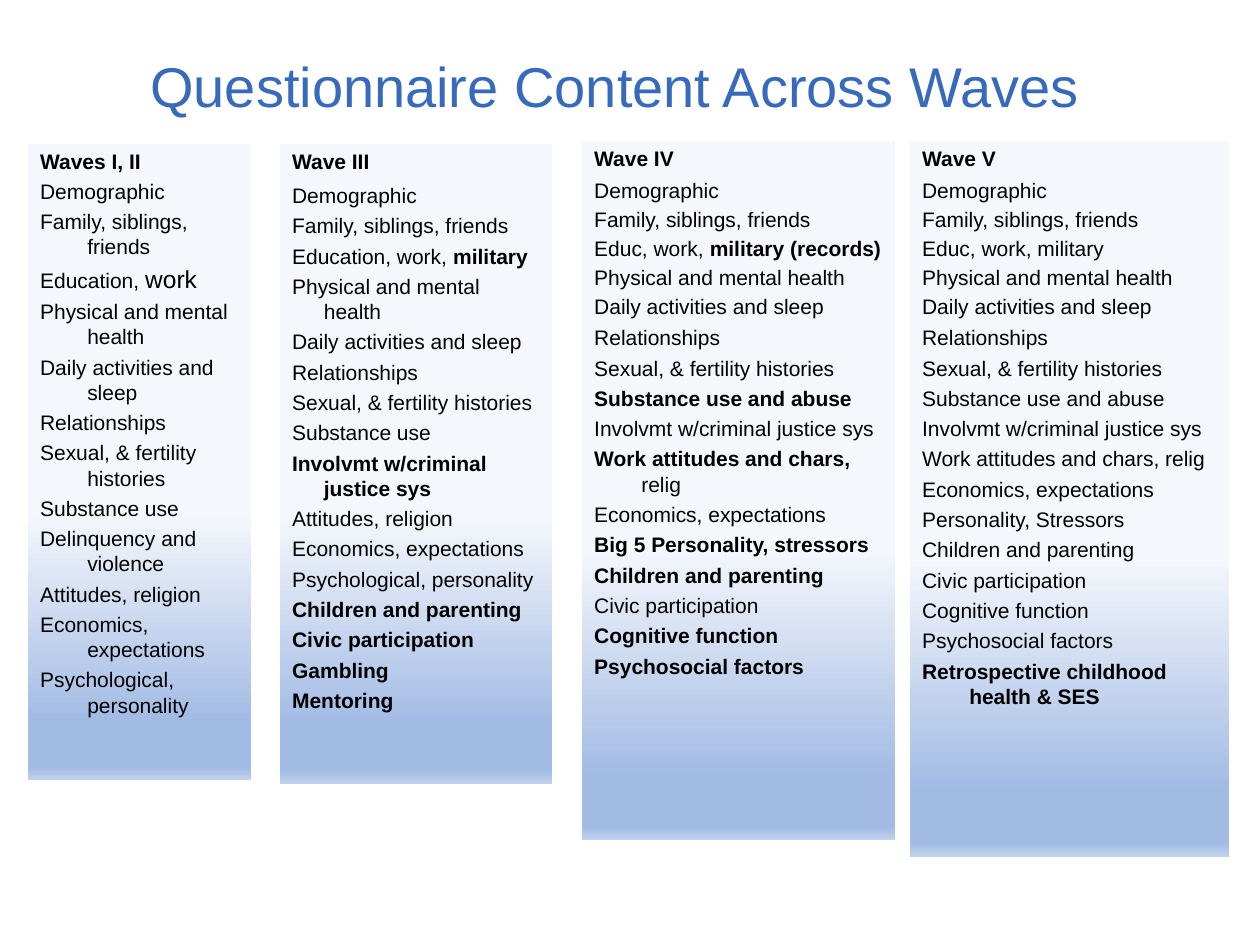
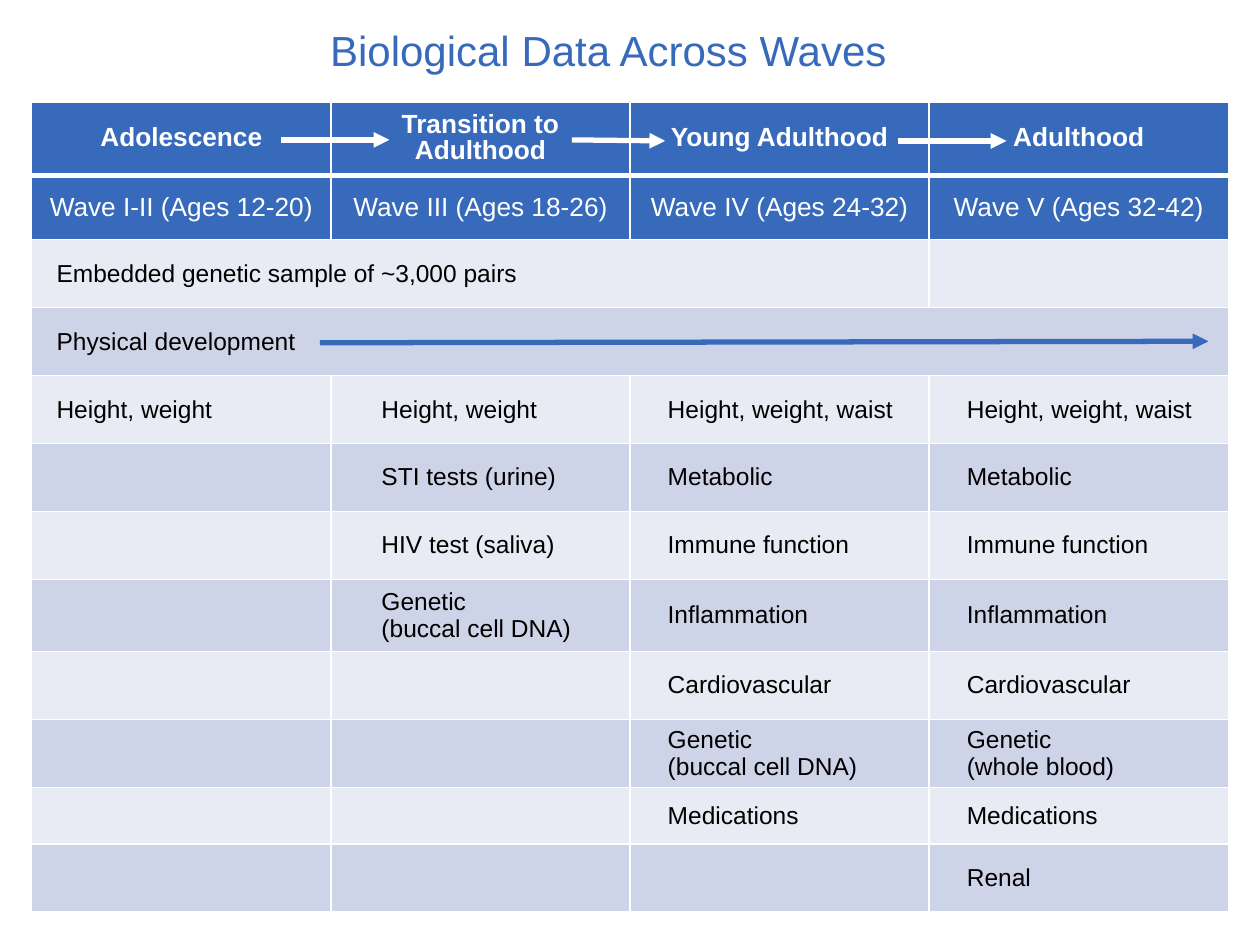
from collections import namedtuple

from lxml import etree
from pptx import Presentation
from pptx import util as u
from pptx.dml.color import RGBColor
from pptx.enum import shapes, text
from pptx.oxml.ns import qn

Cm, Pt = u.Cm, u.Pt
FONT = "Arial"
COLORS = {"blue": "376ABB", "black": "000000", "white": "FFFFFF",
          "light": "E8EBF3", "mid": "CED4E7"}
PANEL_STOPS = [(58, "F5F7FC"), (91, "A2BBE4"), (98, "A2BBE4"), (100, "C1D2ED")]

Run = namedtuple("Run", "text bold size", defaults=(False, 12))
Panel = namedtuple("Panel", "left top width height indent head_after tight items")


def bold(words):
    return Run(words, True)


# Topics by wave; the first `tight` topics have closer line spacing
PANELS = [
    Panel(0.56, 2.9, 4.5, 12.83, 0.95, 0, 0, [
        bold("Waves I, II"), "Demographic", "Family, siblings, friends",
        ["Education, ", Run("work", size=14)], "Physical and mental health",
        "Daily activities and sleep", "Relationships",
        "Sexual, & fertility histories", "Substance use",
        "Delinquency and violence", "Attitudes, religion",
        "Economics, expectations", "Psychological, personality"]),
    Panel(5.64, 2.9, 5.49, 12.9, 0.64, 2.4, 0, [
        bold("Wave III"), "Demographic", "Family, siblings, friends",
        ["Education, work, ", bold("military")], "Physical and mental health",
        "Daily activities and sleep", "Relationships",
        "Sexual, & fertility histories", "Substance use",
        bold("Involvmt w/criminal justice sys"), "Attitudes, religion",
        "Economics, expectations", "Psychological, personality",
        bold("Children and parenting"), bold("Civic participation"),
        bold("Gambling"), bold("Mentoring")]),
    Panel(11.73, 2.84, 6.32, 14.1, 0.95, 2.4, 5, [
        bold("Wave IV"), "Demographic", "Family, siblings, friends",
        ["Educ, work, ", bold("military (records)")],
        "Physical and mental health", "Daily activities and sleep",
        "Relationships", "Sexual, & fertility histories",
        bold("Substance use and abuse"), "Involvmt w/criminal justice sys",
        [bold("Work attitudes and chars, "), "relig"],
        "Economics, expectations", bold("Big 5 Personality, stressors"),
        bold("Children and parenting"), "Civic participation",
        bold("Cognitive function"), bold("Psychosocial factors")]),
    Panel(18.34, 2.84, 6.43, 14.43, 0.95, 2.4, 5, [
        bold("Wave V"), "Demographic", "Family, siblings, friends",
        "Educ, work, military", "Physical and mental health",
        "Daily activities and sleep", "Relationships",
        "Sexual, & fertility histories", "Substance use and abuse",
        "Involvmt w/criminal justice sys", "Work attitudes and chars, relig",
        "Economics, expectations", "Personality, Stressors",
        "Children and parenting", "Civic participation",
        "Cognitive function", "Psychosocial factors",
        bold("Retrospective childhood health & SES")]),
]

# Biological measures: two header rows, then body rows
MEASURES = [
    ["Adolescence", "Transition to Adulthood", "Young Adulthood", "Adulthood"],
    ["Wave I-II (Ages 12-20)", "Wave III (Ages 18-26)",
     "Wave IV (Ages 24-32)", "Wave V (Ages 32-42)"],
    ["Embedded genetic sample of ~3,000 pairs", "", "", ""],
    ["Physical development", "", "", ""],
    ["Height, weight", "Height, weight",
     "Height, weight, waist", "Height, weight, waist"],
    ["", "STI tests (urine)", "Metabolic", "Metabolic"],
    ["", "HIV test (saliva)", "Immune function", "Immune function"],
    ["", "Genetic\n(buccal cell DNA)", "Inflammation", "Inflammation"],
    ["", "", "Cardiovascular", "Cardiovascular"],
    ["", "", "Genetic\n(buccal cell DNA)", "Genetic\n(whole blood)"],
    ["", "", "Medications", "Medications"],
    ["", "", "", "Renal"],
]
ROW_HEIGHTS = [1.48, 1.29] + [1.37] * 5 + [1.45, 1.37, 1.37, 1.14, 1.37]
COLUMN_WIDTH = 6.03
BODY_INSETS = [0.5, 1.02, 0.76, 0.76]
LAST_MERGED_COLUMN = {2: 2, 3: 3}


def add_run(p, words, size, color, is_bold=False):
    r = p.add_run()
    r.text = words
    r.font.name, r.font.size, r.font.bold = FONT, Pt(size), is_bold
    r.font.color.rgb = RGBColor.from_string(COLORS[color])


def add_color(parent, color):
    fill = etree.SubElement(parent, qn("a:solidFill"))
    etree.SubElement(fill, qn("a:srgbClr"), val=color)


def add_title_slide(prs, title, box, size, align, wrap=True):
    slide = prs.slides.add_slide(prs.slide_layouts[5])
    sp = slide.shapes.title
    sp.left, sp.top, sp.width, sp.height = map(Cm, box)
    tf = sp.text_frame
    tf.auto_size = text.MSO_AUTO_SIZE.NONE
    tf.word_wrap = wrap
    tf.vertical_anchor = text.MSO_ANCHOR.MIDDLE
    p = tf.paragraphs[0]
    p.alignment = align
    add_run(p, title, size, "blue")
    return slide


def fill_gradient(sp):
    sp.fill.gradient()
    sp.fill.gradient_angle = 270
    stops = sp._element.spPr.find(".//" + qn("a:gsLst"))
    for old in list(stops):
        stops.remove(old)
    for percent, color in PANEL_STOPS:
        stop = etree.SubElement(stops, qn("a:gs"), pos=str(percent * 1000))
        etree.SubElement(stop, qn("a:srgbClr"), val=color)


def add_panel(slide, panel):
    box = map(Cm, (panel.left, panel.top, panel.width, panel.height))
    sp = slide.shapes.add_shape(shapes.MSO_SHAPE.RECTANGLE, *box)
    sp.shadow.inherit = False
    sp.line.fill.background()
    fill_gradient(sp)
    tf = sp.text_frame
    tf.word_wrap = True
    tf.vertical_anchor = text.MSO_ANCHOR.TOP
    for i, item in enumerate(panel.items):
        p = tf.add_paragraph() if i else tf.paragraphs[0]
        p.alignment = text.PP_ALIGN.LEFT
        p.line_spacing = 0.95 if i <= panel.tight else 1.0
        p.space_before = Pt(2.4 if i else 0)
        p.space_after = Pt(0.5 if i else panel.head_after)
        # Hanging indent for wrapped topics
        pPr = p._p.get_or_add_pPr()
        pPr.set("marL", str(Cm(panel.indent)))
        pPr.set("indent", str(-Cm(panel.indent)))
        for part in item if type(item) is list else [item]:
            run = Run(part) if isinstance(part, str) else part
            add_run(p, run.text, run.size, "black", run.bold)


def set_borders(cell, top, bottom):
    tcPr = cell._tc.get_or_add_tcPr()
    for i, (side, width) in enumerate(zip("LRTB", (1, 1, top, bottom))):
        ln = etree.Element(qn("a:ln" + side), w=str(Pt(width)))
        add_color(ln, COLORS["white"])
        tcPr.insert(i, ln)


def format_cell(cell, words, row, col):
    header = row < 2
    color = "blue" if header else ("mid" if row % 2 else "light")
    cell.fill.solid()
    cell.fill.fore_color.rgb = RGBColor.from_string(COLORS[color])
    set_borders(cell, 3 if row == 1 else 1, 3 if row == 0 else 1)
    cell.vertical_anchor = text.MSO_ANCHOR.MIDDLE
    side = 0.25 if row == 0 else 0.13
    cell.margin_left = Cm(side if header else BODY_INSETS[col])
    cell.margin_right = Cm(side)
    cell.margin_top = cell.margin_bottom = Cm(0.13)
    if not words:
        return
    tf = cell.text_frame
    for i, line in enumerate(words.split("\n")):
        p = tf.add_paragraph() if i else tf.paragraphs[0]
        if header:
            p.alignment = text.PP_ALIGN.CENTER
        if row == 0:
            p.line_spacing, p.space_after = 0.9, Pt(1.5)
        add_run(p, line, 15 if header else 14,
                "white" if header else "black", row == 0)


def add_measures_table(slide):
    columns = len(MEASURES[0])
    frame = slide.shapes.add_table(
        len(MEASURES), columns, Cm(0.64), Cm(2.06),
        Cm(COLUMN_WIDTH * columns), Cm(sum(ROW_HEIGHTS)))
    table = frame.table
    table.first_row = table.horz_banding = False
    for column in table.columns:
        column.width = Cm(COLUMN_WIDTH)
    for row, height in enumerate(ROW_HEIGHTS):
        table.rows[row].height = Cm(height)
        for col, words in enumerate(MEASURES[row]):
            format_cell(table.cell(row, col), words, row, col)
    for row, last in LAST_MERGED_COLUMN.items():
        table.cell(row, 0).merge(table.cell(row, last))


def add_arrow(slide, x1, y1, x2, y2, color):
    line = slide.shapes.add_connector(
        shapes.MSO_CONNECTOR.STRAIGHT, Cm(x1), Cm(y1), Cm(x2), Cm(y2))
    line.line.width = Pt(3)
    line.line.color.rgb = RGBColor.from_string(COLORS[color])
    etree.SubElement(line.line._get_or_add_ln(), qn("a:tailEnd"), type="triangle")
    etree.SubElement(line._element.spPr, qn("a:effectLst"))


def main():
    prs = Presentation()
    prs.slide_width, prs.slide_height = Cm(25.4), Cm(19.05)

    # Questionnaire content
    slide = add_title_slide(prs, "Questionnaire Content Across Waves",
                            (0.97, 0.38, 22.86, 2.67), 32, text.PP_ALIGN.CENTER)
    for panel in PANELS:
        add_panel(slide, panel)

    # Biological data
    slide = add_title_slide(prs, "Biological Data Across Waves",
                            (6.4, 0.36, 11.84, 1.27), 24, text.PP_ALIGN.LEFT,
                            wrap=False)
    add_measures_table(slide)
    # Arrows between life stages, then along physical development
    add_arrow(slide, 5.66, 2.82, 7.85, 2.82, "white")
    add_arrow(slide, 11.53, 2.82, 13.41, 2.84, "white")
    add_arrow(slide, 18.11, 2.84, 20.29, 2.84, "white")
    add_arrow(slide, 6.45, 6.91, 24.36, 6.88, "blue")

    prs.save("out.pptx")


if __name__ == "__main__":
    main()
